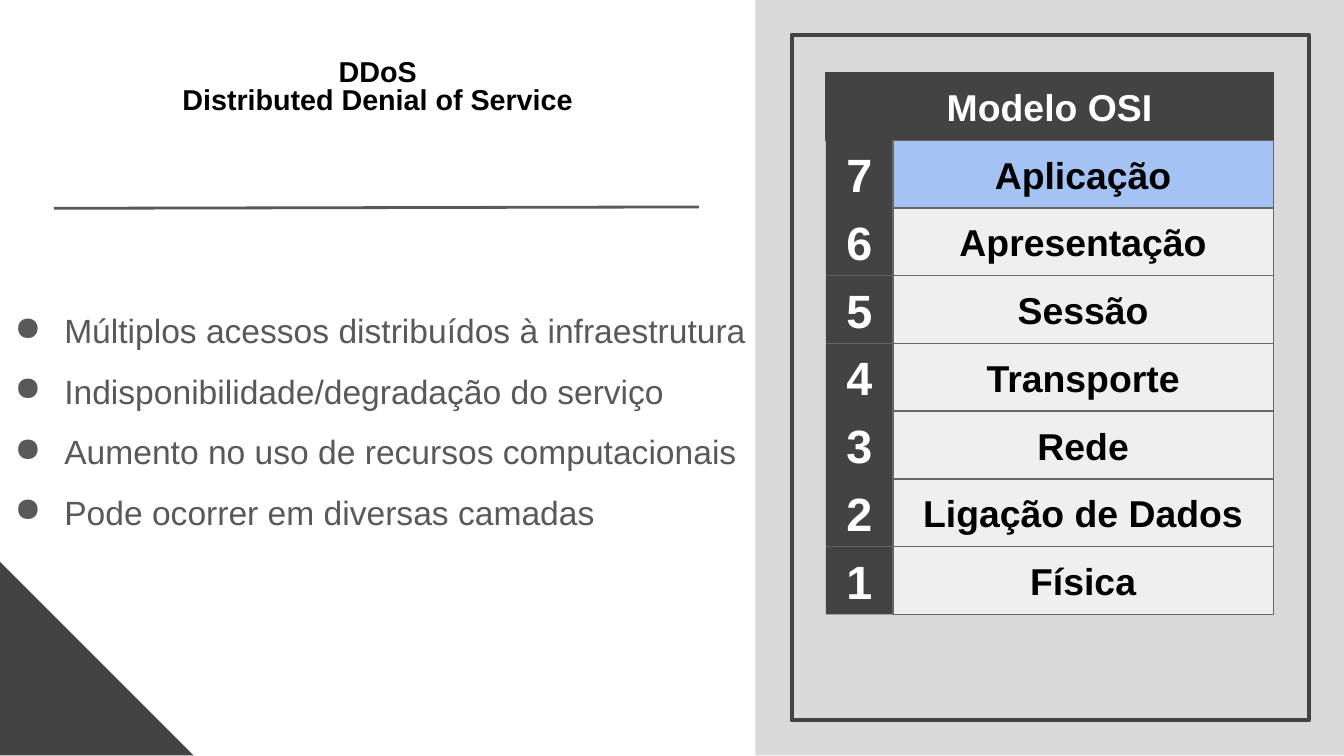
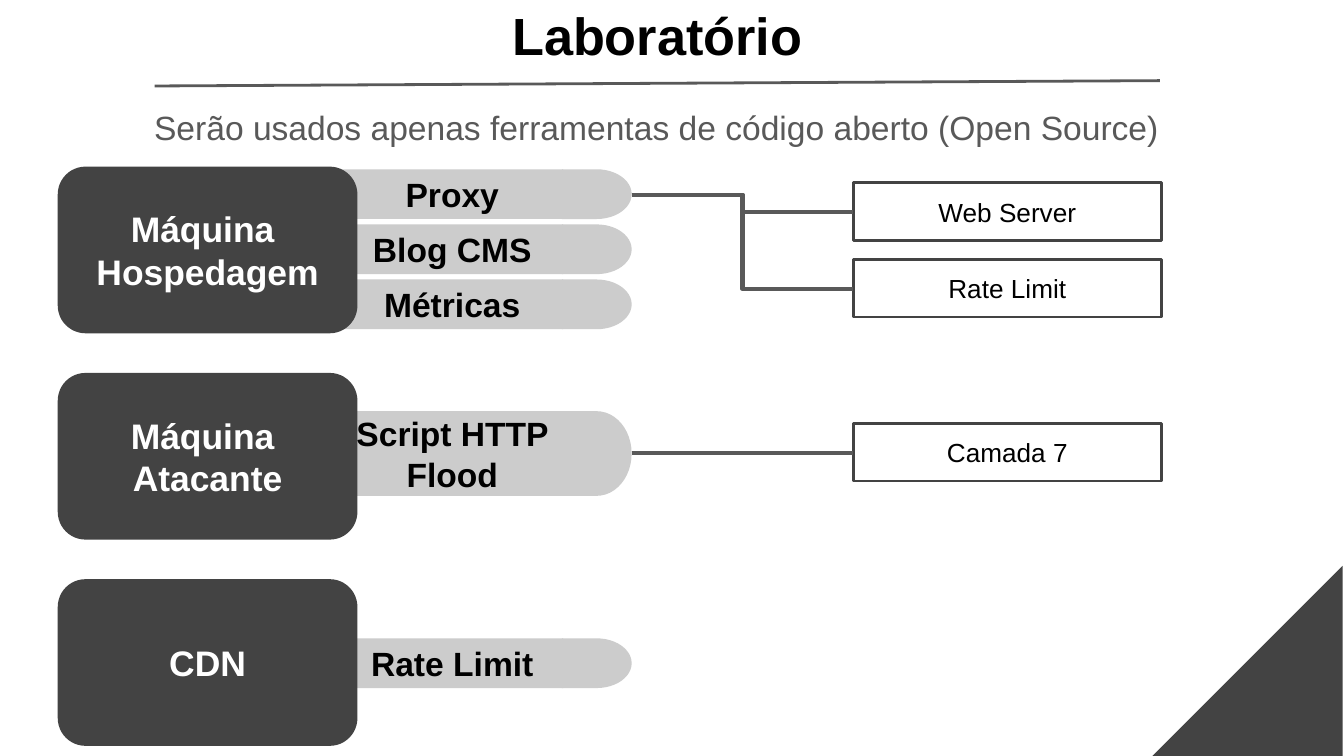
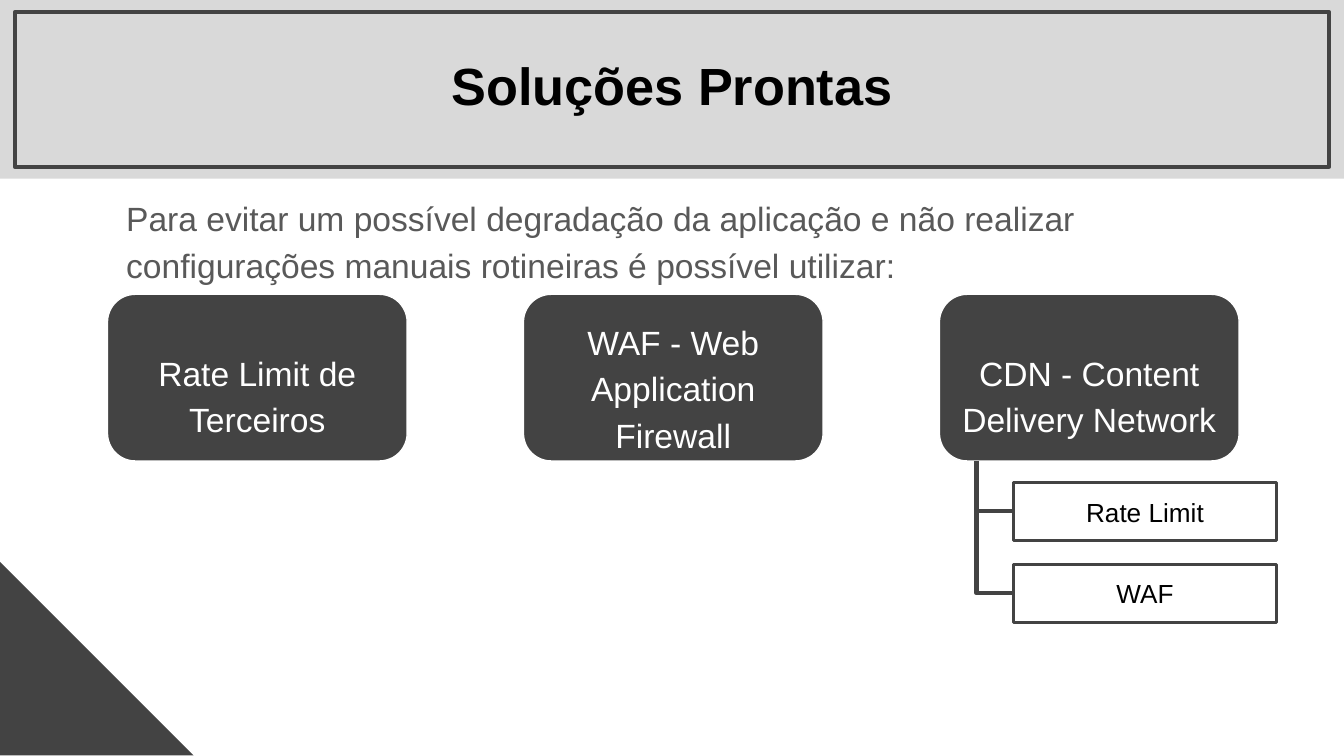
from lxml.etree import SubElement
from pptx import Presentation
from pptx.dml.color import RGBColor
from pptx.enum.shapes import MSO_CONNECTOR, MSO_SHAPE
from pptx.enum.text import MSO_ANCHOR, PP_ALIGN
from pptx.oxml.ns import qn
from pptx.util import Inches, Pt

COLUMNS, ROWS = 10, 5.62
COLUMN = Inches(1)
FONT = "Arial"
DARK, GRAY, BAND, PILL = "434343", "595959", "D9D9D9", "CCCCCC"
BLACK, WHITE = "000000", "FFFFFF"
CELL, CELL_EDGE, HIGHLIGHT = "EFEFEF", "666666", "A4C2F4"
CORNER = 1.44
MACHINE = (2.23, 1.24)
FRAME_WIDTH, DETAIL_WIDTH, RULE_WIDTH = 2.24, 1.5, 1.5
DETAIL_HEIGHT = 0.43


def color(value):
    return RGBColor.from_string(value)


def grid(*cells):
    return [int(cell * COLUMN) for cell in cells]


def apply(target, values):
    for key, value in values.items():
        setattr(target, key, value)


def write(shape, lines, size, ink=BLACK, bold=False, anchor=MSO_ANCHOR.MIDDLE, **layout):
    frame = shape.text_frame
    inset = COLUMN // 10
    apply(frame, {"word_wrap": True, "vertical_anchor": anchor,
                  "margin_left": inset, "margin_right": inset,
                  "margin_top": inset, "margin_bottom": inset})
    for index, line in enumerate(lines):
        paragraph = frame.add_paragraph() if index else frame.paragraphs[0]
        paragraph.text = line
        apply(paragraph, {"alignment": PP_ALIGN.CENTER, **layout})
        for run in paragraph.runs:
            apply(run.font, {"name": FONT, "size": Pt(size), "bold": bold})
            run.font.color.rgb = color(ink)
    return frame.paragraphs


def text(slide, box, lines, size, **style):
    area = slide.shapes.add_textbox(*grid(*box))
    return write(area, lines, size, anchor=MSO_ANCHOR.TOP, **style)


def indent(paragraph, left, first=0, bullet=None):
    properties = paragraph._p.get_or_add_pPr()
    properties.set("marL", str(int(left * COLUMN)))
    properties.set("indent", str(int(first * COLUMN)))
    if bullet:
        tint = SubElement(properties, qn("a:buClr"))
        SubElement(tint, qn("a:srgbClr")).set("val", GRAY)
        SubElement(properties, qn("a:buChar")).set("char", bullet)


def block(slide, box, fill=None, edge=None, width=0.74, kind=MSO_SHAPE.RECTANGLE):
    shape = slide.shapes.add_shape(kind, *grid(*box))
    shape.shadow.inherit = False
    if fill:
        shape.fill.solid()
        shape.fill.fore_color.rgb = color(fill)
    else:
        shape.fill.background()
    if edge:
        shape.line.color.rgb = color(edge)
        shape.line.width = Pt(width)
    else:
        shape.line.fill.background()
    return shape


def connect(slide, start, end, ink=GRAY, width=FRAME_WIDTH, kind=MSO_CONNECTOR.ELBOW):
    link = slide.shapes.add_connector(kind, *grid(*start, *end))
    link.line.color.rgb = color(ink)
    link.line.width = Pt(width)
    SubElement(link._element.spPr, qn("a:effectLst"))
    return link


def branch(slide, start, end):
    (left, top), (right, bottom) = start, end
    middle_x, middle_y = (left + right) / 2, (top + bottom) / 2
    half_run, half_drop = (right - left) / 2, (bottom - top) / 2
    link = connect(slide, (middle_x + half_drop, middle_y - half_run),
                   (middle_x - half_drop, middle_y + half_run), DARK)
    properties = link._element.spPr
    properties.find(qn("a:xfrm")).set("rot", str(270 * 60000))
    properties.find(qn("a:prstGeom")).set("prst", "bentConnector2")


def rule(slide, start, end):
    connect(slide, start, end, width=RULE_WIDTH, kind=MSO_CONNECTOR.STRAIGHT)


def band(slide, box, frame):
    block(slide, box, BAND)
    block(slide, frame, edge=DARK, width=FRAME_WIDTH)


def title(slide, box, words, size=28, spacing=0.9):
    text(slide, box, [words], size, bold=True, line_spacing=spacing)


def corner(slide, left=0, top=ROWS - CORNER, rotation=0):
    triangle = block(slide, (left, top, CORNER, CORNER), DARK, kind=MSO_SHAPE.RIGHT_TRIANGLE)
    triangle.rotation = rotation


def machine(slide, left, top, lines, size, edge=None, **style):
    card = block(slide, (left, top, *MACHINE), DARK, edge,
                 kind=MSO_SHAPE.FLOWCHART_ALTERNATE_PROCESS)
    write(card, lines, size, WHITE, **style)


def tool(slide, top, height, label):
    block(slide, (4.18, top, 0.52, height), PILL, kind=MSO_SHAPE.FLOWCHART_DELAY)
    body = block(slide, (2.54, top, 1.65, height), PILL)
    write(body, [label], 18, bold=True)


def detail(slide, left, top, width, label):
    box = block(slide, (left, top, width, DETAIL_HEIGHT), edge=DARK, width=DETAIL_WIDTH)
    write(box, [label], 14, anchor=MSO_ANCHOR.TOP)


def osi_stack(slide, layers):
    left, top, number, name, step = 6.145, 0.54, 0.5, 2.83, 0.504
    header = block(slide, (left, top, number + name, step), DARK, DARK)
    write(header, ["Modelo OSI"], 20, WHITE, True)
    for row, layer in enumerate(layers):
        y = top + (row + 1) * step
        digit = block(slide, (left, y, number, step), DARK)
        write(digit, [str(len(layers) - row)], 25, WHITE, True)
        cell = block(slide, (left + number, y, name, step),
                     CELL if row else HIGHLIGHT, CELL_EDGE)
        write(cell, [layer], 20, bold=True)


def ddos_slide(slide):
    split = 5.62
    band(slide, (split, 0, COLUMNS - split, ROWS), (5.89, 0.26, 3.85, 5.1))
    title(slide, (0, 0.35, split, 0.63), "DDoS\vDistributed Denial of Service", 15.4, 0.8)
    effects = text(slide, (-0.12, 2.06, 6.02, 2.34), [
        "Múltiplos acessos distribuídos à infraestrutura",
        "Indisponibilidade/degradação do serviço",
        "Aumento no uso de recursos computacionais",
        "Pode ocorrer em diversas camadas",
    ], 18, ink=GRAY, alignment=PP_ALIGN.LEFT, line_spacing=1.5)
    for effect in effects:
        indent(effect, 0.5, -0.37, "●")
    corner(slide)
    rule(slide, (0.4, 1.55), (5.2, 1.54))
    osi_stack(slide, ["Aplicação", "Apresentação", "Sessão", "Transporte",
                      "Rede", "Ligação de Dados", "Física"])


def lab_slide(slide):
    for top, height, label in [(4.75, 0.37, "Rate Limit"), (3.06, 0.63, "Script HTTP Flood"),
                               (2.08, 0.37, "Métricas"), (1.67, 0.37, "Blog CMS"),
                               (1.26, 0.37, "Proxy")]:
        tool(slide, top, height, label)
    title(slide, (0.23, -0.02, 9.32, 0.63), "Laboratório")
    text(slide, (0.7, 0.65, 8.37, 0.55),
         ["Serão usados apenas ferramentas de código aberto (Open Source)"],
         18, ink=GRAY, line_spacing=1.15, space_after=Pt(12))
    rule(slide, (1.15, 0.64), (8.63, 0.6))
    hosts = [["Máquina ", "Hospedagem"], ["Máquina ", "Atacante"], ["CDN"]]
    for row, lines in enumerate(hosts):
        machine(slide, 0.43, 1.24 + row * 1.535, lines, 19, bold=True)
    for top, source, label in [(1.36, 1.45, "Web Server"), (1.93, 1.45, "Rate Limit"),
                               (3.15, 3.37, "Camada 7")]:
        detail(slide, 6.35, top, 2.29, label)
        connect(slide, (4.7, source), (6.35, round(top + DETAIL_HEIGHT / 2 + 0.001, 2)))
    corner(slide, 8.55, 4.21, 270)


def solutions_slide(slide):
    band(slide, (0, 0, COLUMNS, 1.33), (0.11, 0.09, 9.78, 1.15))
    title(slide, (0.34, 0.35, 9.32, 0.63), "Soluções Prontas")
    intro = text(slide, (0.34, 1.33, 9.32, 3.74), [
        "Para evitar um possível degradação da aplicação e não realizar "
        "configurações manuais rotineiras é possível utilizar:",
    ], 18, ink=GRAY, alignment=PP_ALIGN.LEFT, line_spacing=1.15)
    indent(intro[0], 0.5)
    corner(slide)
    options = [("Rate Limit de Terceiros", MSO_ANCHOR.BOTTOM),
               ("WAF - Web Application Firewall", MSO_ANCHOR.TOP),
               ("CDN - Content Delivery Network", MSO_ANCHOR.BOTTOM)]
    for column, (label, anchor) in enumerate(options):
        machine(slide, 0.8 + column * 3.095, 2.19, [label], 18, WHITE,
                anchor=anchor, line_spacing=1.15, space_after=Pt(12))
    for top, label in [(3.59, "Rate Limit"), (4.2, "WAF")]:
        detail(slide, 7.54, top, 1.96, label)
        branch(slide, (7.265, 3.43), (7.54, top + DETAIL_HEIGHT / 2))


def main():
    deck = Presentation()
    apply(deck, {"slide_width": COLUMNS * COLUMN, "slide_height": int(5.625 * COLUMN)})
    for build in (ddos_slide, lab_slide, solutions_slide):
        slide = deck.slides.add_slide(deck.slide_layouts[6])
        slide.background.fill.solid()
        slide.background.fill.fore_color.rgb = color(WHITE)
        build(slide)
    deck.save("out.pptx")


main()
